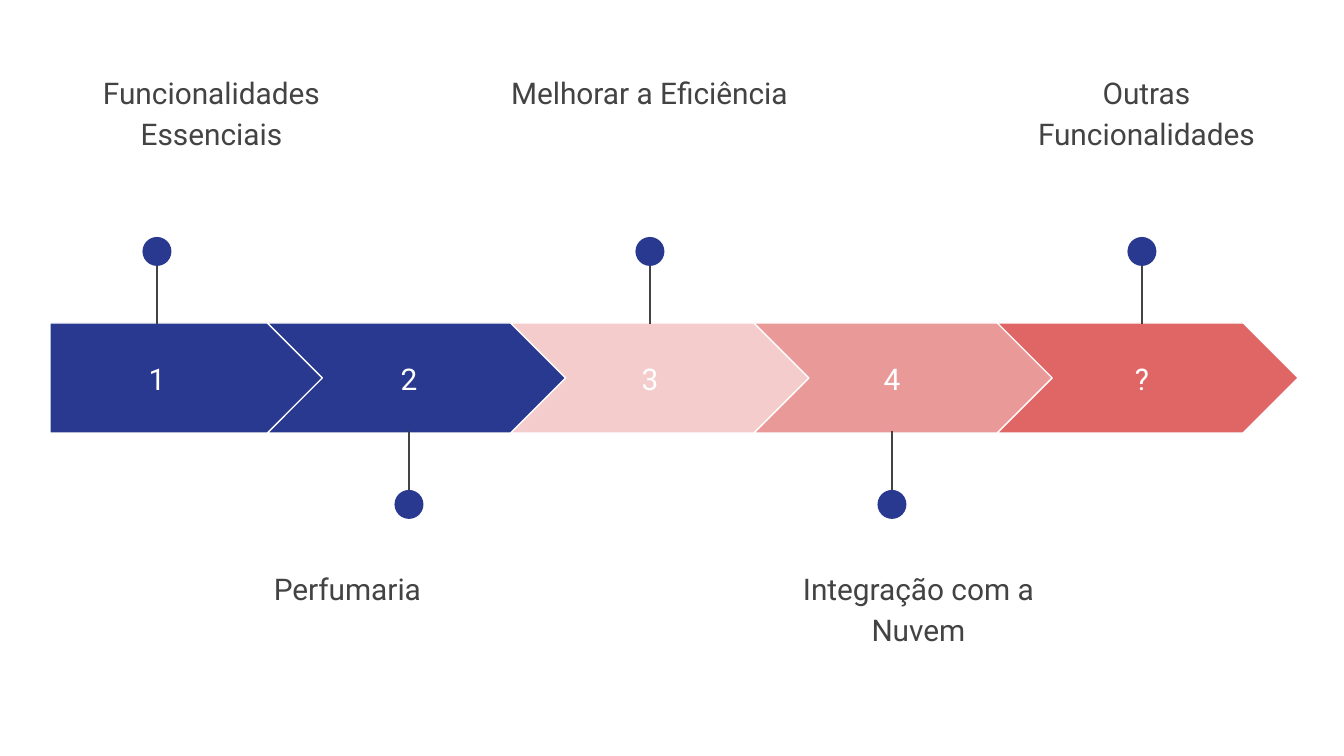
from pptx import Presentation
from pptx.dml.color import RGBColor
from pptx.enum.shapes import MSO_CONNECTOR, MSO_SHAPE as Shape
from pptx.enum.text import MSO_ANCHOR as Anchor, PP_ALIGN as Align
from pptx.oxml.ns import qn
from pptx.util import Pt
from lxml import etree

SCALE = 914400 / 134.4
BLUE, WHITE, GREY = "2A3990", "FFFFFF", "434343"


def px(*vals):
    return [round(v * SCALE) for v in vals]


def rgb(code):
    return RGBColor.from_string(code)


deck = Presentation()
deck.slide_width, deck.slide_height = px(1344, 756)
slide = deck.slides.add_slide(deck.slide_layouts[6])
shapes = slide.shapes

# Step mark, arrow fill, pin centre, label left, label
steps = [
    ("1", BLUE, 157, 47, "Funcionalidades Essenciais"),
    ("2", BLUE, 409, 183, "Perfumaria"),
    ("3", "F4CCCC", 650, 485, "Melhorar a Eficiência"),
    ("4", "EA9999", 892, 754, "Integração com a Nuvem"),
    ("?", "E06666", 1142, 982, "Outras Funcionalidades"),
]

for i, (mark, fill, mid, left, label) in enumerate(steps):
    # Arrow: a pentagon first, then chevrons at equal steps
    if i == 0:
        kind, box = Shape.PENTAGON, (50, 323, 275, 110)
    else:
        kind, box = Shape.CHEVRON, (24 + 243.3 * i, 323, 301, 110)
    arrow = shapes.add_shape(kind, *px(*box))
    arrow.shadow.inherit = False
    arrow.fill.solid()
    arrow.fill.fore_color.rgb = rgb(fill)
    arrow.line.color.rgb = rgb(WHITE)
    arrow.line.width = Pt(0.75)

    # Pins alternate above and below the arrows
    above = i % 2 == 0
    start, end, dot_y = (242, 324, 237) if above else (513, 431, 490)
    stem = shapes.add_connector(MSO_CONNECTOR.STRAIGHT, *px(mid, start, mid, end))
    stem.line.color.rgb = rgb(GREY)
    stem.line.width = Pt(0.75)
    etree.SubElement(stem._element.spPr, qn("a:effectLst"))
    dot = shapes.add_shape(Shape.OVAL, *px(mid - 14.5, dot_y, 29, 29))
    dot.shadow.inherit = False
    dot.fill.solid()
    dot.fill.fore_color.rgb = rgb(BLUE)
    dot.line.fill.background()

    # Mark inside the arrow, label beyond the pin
    texts = [
        (mark, (mid - 97, 344, 194, 69), WHITE, Anchor.MIDDLE),
        (label, (left, 56 if above else 552, 329, 133), GREY, Anchor.TOP),
    ]
    for text, box, color, anchor in texts:
        frame = shapes.add_textbox(*px(*box)).text_frame
        frame.word_wrap = True
        frame.vertical_anchor = anchor
        frame.margin_left = frame.margin_right = Pt(7.2)
        frame.margin_top = frame.margin_bottom = Pt(7.2)
        para = frame.paragraphs[0]
        para.text = text
        para.alignment = Align.CENTER
        para.font.name = "Roboto"
        para.font.size = Pt(16)
        para.font.color.rgb = rgb(color)
        if text == label:
            para.line_spacing = 1.15
            para.space_after = Pt(16)

deck.save("out.pptx")
